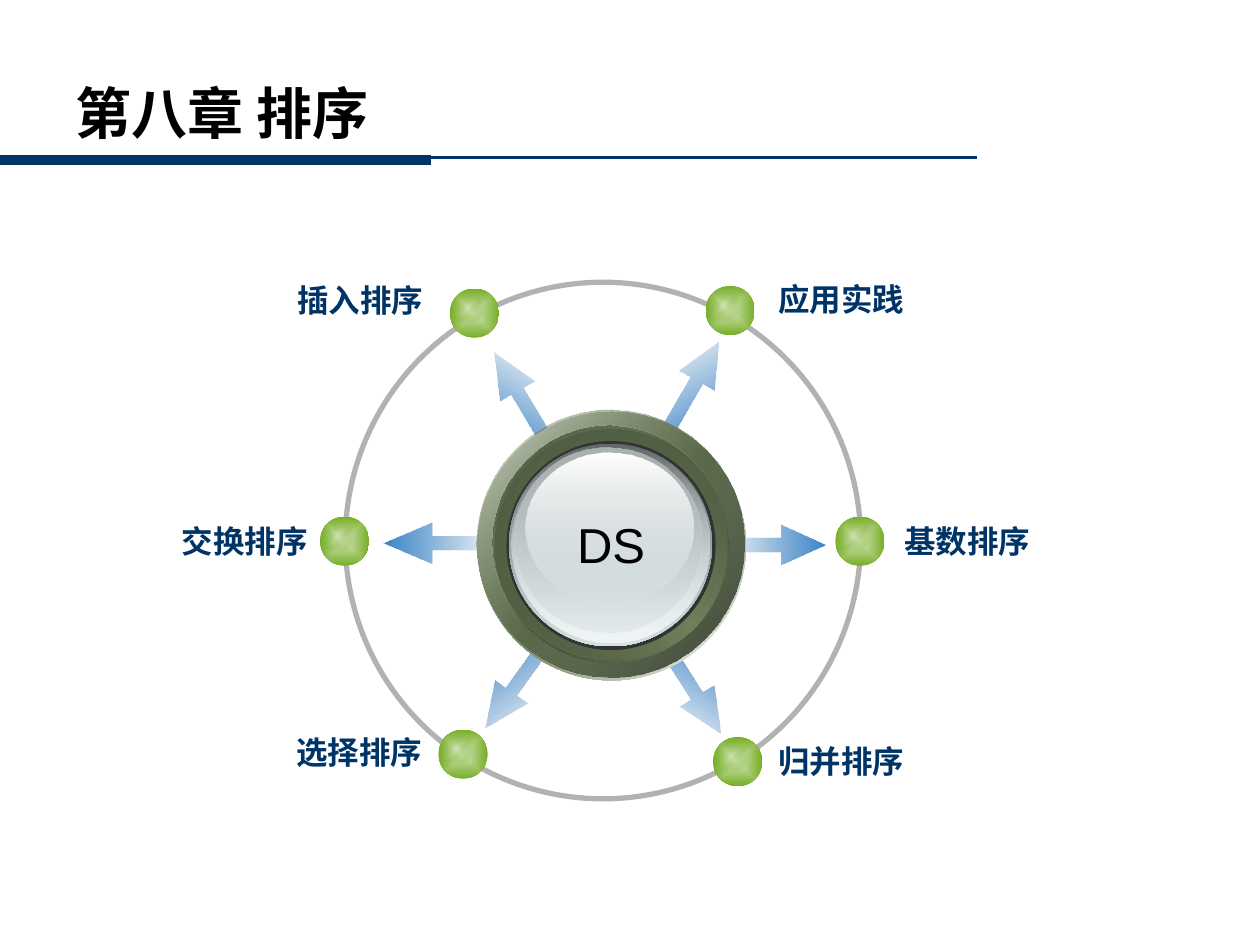
from collections import namedtuple

from lxml.etree import SubElement
from pptx import Presentation
from pptx.dml.color import RGBColor
from pptx.enum.shapes import MSO_CONNECTOR, MSO_SHAPE
from pptx.enum.text import MSO_ANCHOR, PP_ALIGN
from pptx.oxml.ns import qn
from pptx.util import Inches, Pt

Box = namedtuple("Box", "left top width height")
Spoke = namedtuple("Spoke", "topic align label node arrow rotation reach")

NAVY, BLACK, RING_GRAY = "003366", "000000", "B2B2B2"
ARROW_STOPS = [(0, "3376B3", 0), (100, "3984C9", 100)]
TITLE_FORMAT = {"name": "DejaVu Sans", "size": Pt(32), "bold": True}
HUB_FORMAT = {"name": "Arial", "size": Pt(28), "bold": False}
TOPIC_FORMAT = {"name": "Arial", "size": Pt(18), "bold": True}

SPOKES = [
    Spoke("应用实践", PP_ALIGN.LEFT, (3.34, -0.07), (2.86, 0.03), (2.31, 0.69), 299.6, 0.87),
    Spoke("归并排序", PP_ALIGN.LEFT, (3.34, 3.6), (2.92, 3.61), (2.31, 3.05), 57.8, 0.87),
    Spoke("插入排序", PP_ALIGN.RIGHT, (-0.48, -0.06), (0.83, 0.05), (0.97, 0.77), 239.5, 0.87),
    Spoke("选择排序", PP_ALIGN.RIGHT, (-0.49, 3.53), (0.74, 3.55), (0.93, 3.02), 125.6, 0.87),
    Spoke("基数排序", PP_ALIGN.LEFT, (4.34, 1.85), (3.89, 1.86), (2.94, 1.92), 0, 0.87),
    Spoke("交换排序", PP_ALIGN.RIGHT, (-1.4, 1.85), (-0.2, 1.86), (0.3, 1.91), 180, 0.94),
]

HUB_DISCS = [
    (Box(0.01, 0.02, 2.13, 2.13), [(0, "FFFFFF", 100), (50, "6E815B", 100), (100, "FFFFFF", 100)], 45),
    (Box(0, 0, 2.13, 2.13), [(0, "6E815B", 32), (100, "333C2A", 100)], 45),
    (Box(0.15, 0.16, 1.85, 1.85), [(0, "3C4631", 100), (50, "6E815B", 100), (100, "3C4631", 100)], 315),
    (Box(0.13, 0.13, 1.85, 1.85), [(0, "46523A", 100), (100, "6E815B", 0)], 45),
    (Box(0.24, 0.25, 1.66, 1.66), [(0, "333333", 100), (100, "333333", 100)], 0),
    (Box(0.26, 0.27, 1.61, 1.61), [(0, "636869", 100), (100, "D6E1E2", 100)], 90),
    (Box(0.28, 0.28, 1.57, 1.57), [(0, "D6E1E2", 0), (100, "F1F5F5", 100)], 90),
    (Box(0.3, 0.3, 1.49, 1.47), [(0, "AAB2B3", 100), (100, "D6E1E2", 48)], 90),
    (Box(0.39, 0.34, 1.33, 1.19), [(0, "FFFFFF", 100), (100, "D6E1E2", 38)], 90),
]


def color(hex_value):
    return RGBColor.from_string(hex_value)


def inside(region, left, top, width, height):
    return Box(region.left + left, region.top + top, width, height)


def add_form(slide, preset, box):
    form = slide.shapes.add_shape(preset, *map(Inches, box))
    form.shadow.inherit = False
    form.line.fill.background()
    return form


def fill_gradient(form, stops, angle=None):
    form.fill.gradient()
    gradient = form.fill._xPr.find(qn("a:gradFill"))
    gradient.set("rotWithShape", "0")
    for child in list(gradient):
        gradient.remove(child)
    stop_list = SubElement(gradient, qn("a:gsLst"))
    for position, hex_value, opacity in stops:
        stop = SubElement(stop_list, qn("a:gs"), pos=str(position * 1000))
        tone = SubElement(stop, qn("a:srgbClr"), val=hex_value)
        if opacity < 100:
            SubElement(tone, qn("a:alpha"), val=str(opacity * 1000))
    if angle is None:
        center = SubElement(gradient, qn("a:path"), path="rect")
        SubElement(center, qn("a:fillToRect"), l="50000", t="50000", r="50000", b="50000")
    else:
        SubElement(gradient, qn("a:lin"), ang=str(round(angle * 60000)), scaled="0")


def add_words(slide, box, words, font_format, hex_value, align=PP_ALIGN.LEFT, wrap=False):
    frame = slide.shapes.add_textbox(*map(Inches, box)).text_frame
    frame.word_wrap = wrap
    frame.vertical_anchor = MSO_ANCHOR.MIDDLE
    paragraph = frame.paragraphs[0]
    paragraph.alignment = align
    run = paragraph.add_run()
    run.text = words
    run.font.color.rgb = color(hex_value)
    for attribute, value in font_format.items():
        setattr(run.font, attribute, value)


def add_header(slide, box):
    for length, drop, weight in [(box.width, 0.67, 1.5), (3.42, 0.69, 6)]:
        height = Inches(box.top + drop)
        rule = slide.shapes.add_connector(
            MSO_CONNECTOR.STRAIGHT, Inches(box.left), height, Inches(box.left + length), height)
        rule.line.color.rgb = color(NAVY)
        rule.line.width = Pt(weight)
        SubElement(rule._element.spPr, qn("a:effectLst"))
    add_words(slide, inside(box, 0.5, 0, 8.42, 0.62), "第八章 排序", TITLE_FORMAT, BLACK, wrap=True)


def add_arrow(slide, ring, spoke):
    arrow = add_form(slide, MSO_SHAPE.RIGHT_ARROW, inside(ring, *spoke.arrow, spoke.reach, 0.32))
    arrow.rotation = spoke.rotation
    arrow.adjustments[0] = 0.35
    arrow.adjustments[1] = 1.11 if spoke.reach < 0.9 else 1.21
    fill_gradient(arrow, ARROW_STOPS, -spoke.rotation % 360)


def add_node(slide, box):
    glow = inside(box, 0.02, 0.03, 0.24, 0.25)
    for part, edge_opacity in [(box, 100), (glow, 0)]:
        ball = add_form(slide, MSO_SHAPE.OVAL, part)
        fill_gradient(ball, [(0, "D1E4B6", 100), (100, "77AE26", edge_opacity)])


def add_hub(slide, box):
    for offset, stops, angle in HUB_DISCS:
        fill_gradient(add_form(slide, MSO_SHAPE.OVAL, inside(box, *offset)), stops, angle)
    add_words(slide, inside(box, 0.7, 0.78, 0.74, 0.57), "DS", HUB_FORMAT, BLACK, PP_ALIGN.CENTER)


def add_wheel(slide, box):
    for spoke in SPOKES:
        add_arrow(slide, box, spoke)
    ring = add_form(slide, MSO_SHAPE.OVAL, box)
    ring.fill.background()
    ring.line.color.rgb = color(RING_GRAY)
    ring.line.width = Pt(3)
    for spoke in SPOKES:
        add_node(slide, inside(box, *spoke.node, 0.39, 0.39))
        add_words(slide, inside(box, *spoke.label, 1.2, 0.4), spoke.topic, TOPIC_FORMAT, NAVY, spoke.align)
    add_hub(slide, inside(box, 1.04, 1.01, 2.14, 2.15))


def main():
    deck = Presentation()
    deck.slide_width, deck.slide_height = Inches(10), Inches(7.5)
    slide = deck.slides.add_slide(deck.slide_layouts[6])
    add_header(slide, Box(0, 0.58, 7.75, 0.72))
    add_wheel(slide, Box(2.74, 2.24, 4.09, 4.1))
    deck.save("out.pptx")


if __name__ == "__main__":
    main()
